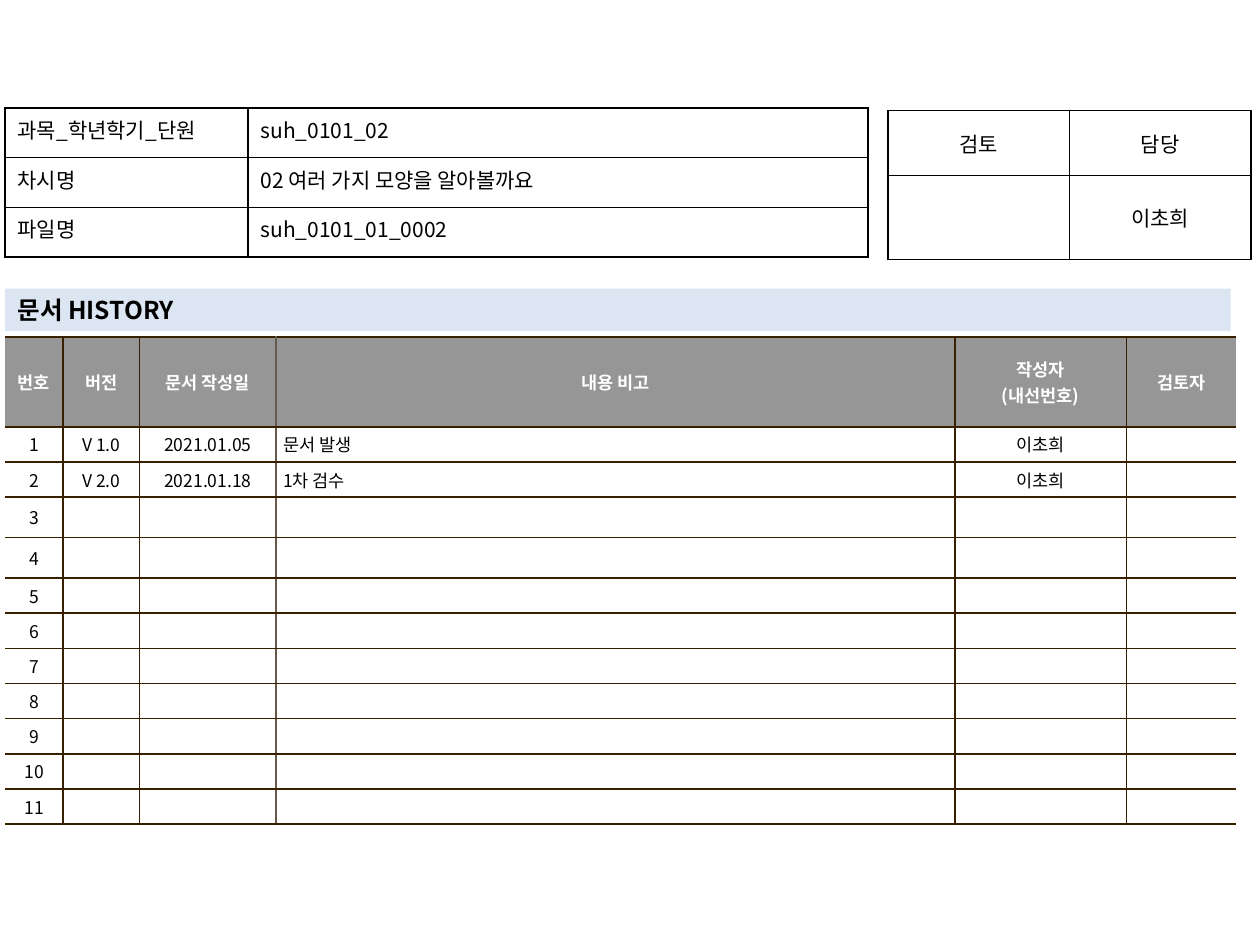
from lxml.etree import SubElement as Sub
from pptx import Presentation
from pptx.dml.color import RGBColor as Rgb
from pptx.enum.shapes import MSO_SHAPE as Kind
from pptx.enum.text import MSO_ANCHOR as Anchor, PP_ALIGN as Align
from pptx.oxml.ns import qn
from pptx.util import Pt

FONT = "Noto Sans CJK KR"
HUE = {"ink": "000000", "white": "FFFFFF", "head": "969696",
       "band": "DCE6F2", "line": "362000", "soft": "645B4C"}


def paint(fill, hue):
    if hue:
        fill.solid()
        fill.fore_color.rgb = Rgb.from_string(HUE[hue])
    else:
        fill.background()


def write(frame, text, size, align=Align.LEFT, hue="ink", bold=False):
    """Fill a text frame, one paragraph a line."""
    for i, line in enumerate(text.split("\n")):
        para = frame.add_paragraph() if i else frame.paragraphs[0]
        para.alignment = align
        if not line:
            Sub(para._p, qn("a:endParaRPr"), sz=str(size * 100))
            continue
        run = para.add_run()
        run.text = line
        font = run.font
        font.name, font.size, font.bold = FONT, Pt(size), bold
        font.color.rgb = Rgb.from_string(HUE[hue])
        Sub(run._r.get_or_add_rPr(), qn("a:ea"), typeface=FONT)


def edge(cell, **sides):
    """Draw 1 pt cell borders, given as L, R, T, B; None hides one."""
    props = cell._tc.get_or_add_tcPr()
    for side in "LRTB":
        hue = sides[side]
        line = Sub(props, qn(f"a:ln{side}"), w=str(Pt(1)))
        if hue:
            Sub(Sub(line, qn("a:solidFill")), qn("a:srgbClr"), val=HUE[hue])
        else:
            Sub(line, qn("a:noFill"))


def add_grid(slide, left, top, cols, rows):
    table = slide.shapes.add_table(len(rows), len(cols), Pt(left), Pt(top),
                                   Pt(sum(cols)), Pt(sum(rows))).table
    table.first_row = table.horz_banding = False
    for col, width in zip(table.columns, cols):
        col.width = Pt(width)
    for row, height in zip(table.rows, rows):
        row.height = Pt(height)
    return table


def pad(cell, side, end):
    cell.margin_left = cell.margin_right = Pt(side)
    cell.margin_top = cell.margin_bottom = Pt(end)


def add_form(slide, left, top, cols, rows, texts, aligns, anchor):
    """Add a plain table with black borders."""
    table = add_grid(slide, left, top, cols, rows)
    for r, line in enumerate(texts):
        for c, text in enumerate(line):
            cell = table.cell(r, c)
            edge(cell, L="ink", R="ink", T="ink", B="ink")
            paint(cell.fill, None)
            pad(cell, 7.2, 3.6)
            cell.vertical_anchor = anchor
            write(cell.text_frame, text, 12, aligns[c])


def add_log(slide):
    """Add the document history table, open at its left and right."""
    head = ["번호", "버전", "문서 작성일", "내용 비고", "작성자\n(내선번호)", "검토자"]
    done = [["V 1.0", "2021.01.05", "문서 발생", "이초희", ""],
            ["V 2.0", "2021.01.18", "1차 검수", "이초희", ""]]
    body = done + [[""] * 5] * 9
    texts = [head] + [[str(n), *row] for n, row in enumerate(body, 1)]
    cols = [33.1, 43.9, 77.8, 388.1, 97.9, 62.6]
    rows = [51.2] + [20.1] * 2 + [23.1] * 2 + [20.1] * 7
    rules = [None, "line", "line", "soft", "line", "line", None]
    note = 3
    table = add_grid(slide, 2.9, 192.7, cols, rows)
    for r, line in enumerate(texts):
        for c, text in enumerate(line):
            cell = table.cell(r, c)
            edge(cell, L=rules[c], R=rules[c + 1], T="line", B="line")
            paint(cell.fill, "white" if r else "head")
            pad(cell, 4.2, 2.8)
            cell.vertical_anchor = Anchor.MIDDLE
            left = r and c == note
            write(cell.text_frame, text, 10,
                  Align.LEFT if left else Align.CENTER,
                  "ink" if r else "white", not r)
            if left:
                props = cell.text_frame.paragraphs[0]._p.get_or_add_pPr()
                props.set("marL", str(Pt(13.7)))
                props.set("indent", str(Pt(-13.7)))


def add_band(slide, text):
    band = slide.shapes.add_shape(Kind.RECTANGLE, Pt(2.9), Pt(165),
                                  Pt(700.3), Pt(24.2))
    band.shadow.inherit = False
    paint(band.fill, "band")
    band.line.fill.background()
    frame = band.text_frame
    frame.word_wrap = True
    frame.margin_top = frame.margin_bottom = 0
    frame.vertical_anchor = Anchor.MIDDLE
    write(frame, text, 14, bold=True)


def main():
    deck = Presentation()
    deck.slide_width, deck.slide_height = Pt(720), Pt(540)
    slide = deck.slides.add_slide(deck.slide_layouts[6])
    add_log(slide)
    add_form(slide, 507.5, 63.2, [103.7] * 2, [37, 48],
             [["검토", "담당"], ["", "이초희"]],
             [Align.CENTER] * 2, Anchor.MIDDLE)
    add_band(slide, "문서 HISTORY")
    add_form(slide, 2.9, 61.7, [138.8, 354.4], [28.4] * 3,
             [["과목_학년학기_단원", "suh_0101_02"],
              ["차시명", "02 여러 가지 모양을 알아볼까요"],
              ["파일명", "suh_0101_01_0002"]],
             [Align.JUSTIFY, Align.LEFT], Anchor.TOP)
    deck.save("out.pptx")


if __name__ == "__main__":
    main()
